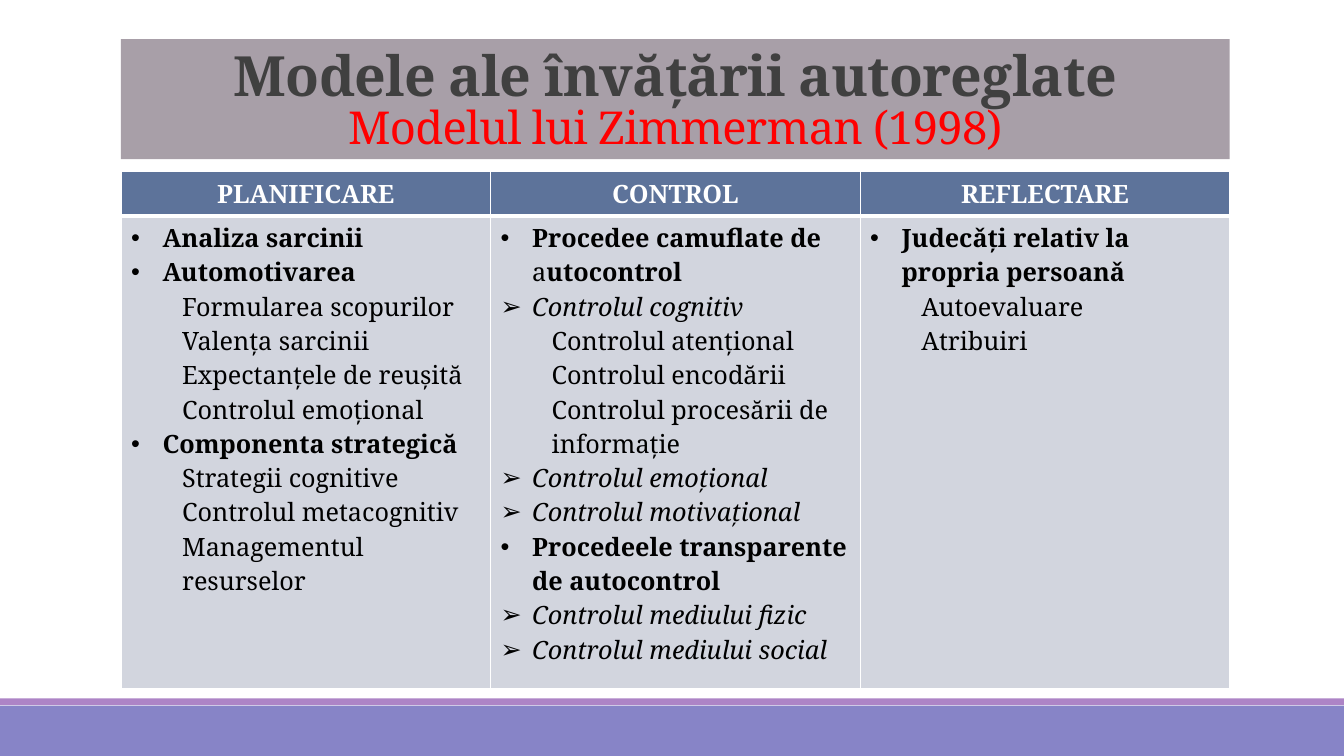
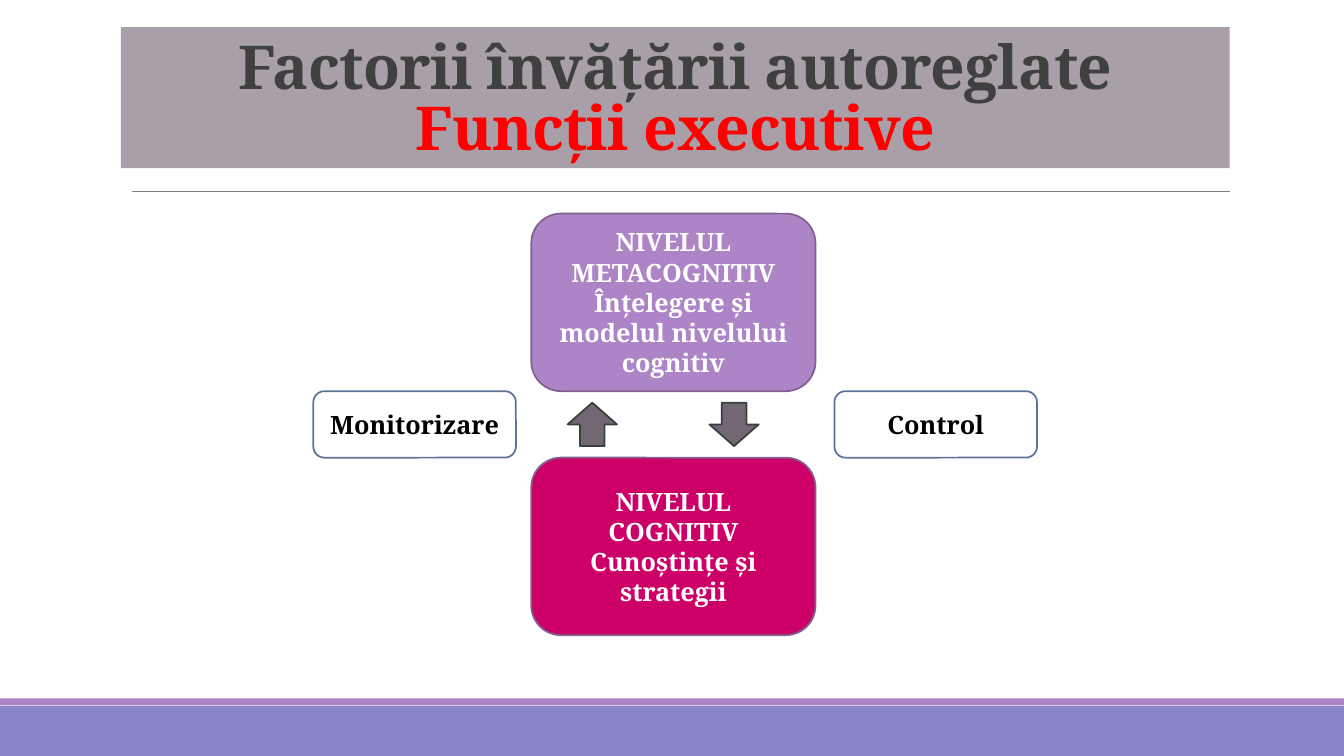
from copy import deepcopy

from lxml.etree import SubElement
from pptx import Presentation
from pptx.dml.color import RGBColor
from pptx.enum.lang import MSO_LANGUAGE_ID
from pptx.enum.shapes import MSO_CONNECTOR, MSO_SHAPE
from pptx.enum.text import MSO_ANCHOR, MSO_AUTO_SIZE, PP_ALIGN
from pptx.oxml.ns import qn
from pptx.util import Pt

FONT = "Noto Serif"
TEXT_SIZE = 18
WHITE = RGBColor(0xFF, 0xFF, 0xFF)
BLACK = RGBColor(0, 0, 0)
RED = RGBColor(0xFF, 0, 0)
DARK = RGBColor(0x40, 0x40, 0x40)
GRAY = RGBColor(0x80, 0x80, 0x80)
TITLE_FILL = RGBColor(0xA8, 0x9F, 0xA8)
BAND = RGBColor(0x87, 0x84, 0xC7)
LILAC = RGBColor(0xAD, 0x84, 0xC6)
PLUM = RGBColor(0x80, 0x62, 0x92)
MAGENTA = RGBColor(0xCC, 0, 0x66)
SLATE = RGBColor(0x5D, 0x73, 0x9A)
CELL = RGBColor(0xD2, 0xD5, 0xDE)
ARROW = RGBColor(0x73, 0x67, 0x73)
ARROW_LINE = RGBColor(0x38, 0x40, 0x42)

# Content area shared by both slides
PAGE_WIDTH, PAGE_HEIGHT = 960, 540
LEFT, WIDTH = 86.4, 792
RIGHT = LEFT + WIDTH


def style_run(span, size, color, bold=True, italic=False):
    """Apply the deck font and language with a size, colour and weight."""
    span.font.name = FONT
    span.font.language_id = MSO_LANGUAGE_ID.ROMANIAN
    span.font.size = Pt(size)
    span.font.color.rgb = color
    span.font.bold = bold
    span.font.italic = italic


def add_box(page, preset, place, fill, line=None):
    """Add a filled preset shape without shadow; place is in points."""
    box = page.shapes.add_shape(preset, *[Pt(length) for length in place])
    box.shadow.inherit = False
    box.fill.solid()
    box.fill.fore_color.rgb = fill
    if line is None:
        box.line.fill.background()
    else:
        box.line.color.rgb = line
        box.line.width = Pt(1.25)
    return box


deck = Presentation()
deck.slide_width, deck.slide_height = Pt(PAGE_WIDTH), Pt(PAGE_HEIGHT)
layout = deck.slide_layouts[5]
model_page = deck.slides.add_slide(layout)
factor_page = deck.slides.add_slide(layout)

# Shared bands and rule: drawn once, then moved into the layout
band = add_box(model_page, MSO_SHAPE.RECTANGLE, (0, 504, PAGE_WIDTH, 36), BAND)
stripe = add_box(model_page, MSO_SHAPE.RECTANGLE, (0, 498.8, PAGE_WIDTH, 4.8), LILAC)
rule = model_page.shapes.add_connector(
    MSO_CONNECTOR.STRAIGHT, Pt(94.3), Pt(136.8), Pt(RIGHT), Pt(136.8))
rule.line.color.rgb = GRAY
rule.line.width = Pt(0.5)
SubElement(rule.element.spPr, qn("a:effectLst"))
for shape in (band, stripe, rule):
    layout.shapes.element.append(shape.element)

# Titles: page, top, height, then (text, size, colour, bold) for each line
titles = [
    (model_page, 28, 85.7, [("Modele ale învățării autoreglate", 39.6, DARK, True),
                            ("Modelul lui Zimmerman (1998)", 32.4, RED, False)]),
    (factor_page, 19.3, 100.8, [("Factorii învățării autoreglate", 43.2, DARK, True),
                                ("Funcții executive", 43.2, RED, True)]),
]
for page, top, height, lines in titles:
    title = page.shapes.title
    title.left, title.top = Pt(LEFT), Pt(top)
    title.width, title.height = Pt(WIDTH), Pt(height)
    title.fill.solid()
    title.fill.fore_color.rgb = TITLE_FILL
    frame = title.text_frame
    frame.auto_size = MSO_AUTO_SIZE.NONE
    frame.vertical_anchor = MSO_ANCHOR.BOTTOM
    frame.text = "\v".join(text for text, *_ in lines)
    para = frame.paragraphs[0]
    para.alignment = PP_ALIGN.CENTER
    para.line_spacing = 0.85
    for span, (_, size, color, bold) in zip(para.runs, lines):
        style_run(span, size, color, bold)
    run_properties = list(title.element.iter(qn("a:rPr")))
    for properties in run_properties:
        properties.set("spc", "-50")
    # The line break takes the size of the first line
    line_break = title.element.find(".//" + qn("a:br"))
    line_break.append(deepcopy(run_properties[0]))

# Slide 1: table; a bar in a text switches between bold and regular
ITEM_STYLES = {  # margin, indent, bullet, bold, italic
    "head": (22.5, -22.5, "•", True, False),
    "step": (22.5, -22.5, "➢", False, True),
    "detail": (36.5, 0, None, False, False),
}
columns = [
    ("PLANIFICARE", [
        ("head", "Analiza sarcinii"),
        ("head", "Automotivarea"),
        ("detail", "Formularea scopurilor"),
        ("detail", "Valenţa sarcinii"),
        ("detail", "Expectanţele de reuşită"),
        ("detail", "Controlul emoţional"),
        ("head", "Componenta strategică"),
        ("detail", "Strategii cognitive"),
        ("detail", "Controlul metacognitiv"),
        ("detail", "Managementul resurselor")]),
    ("CONTROL", [
        ("head", "Procedee camuflate de| a|utocontrol"),
        ("step", "Controlul cognitiv"),
        ("detail", "Controlul atenţional"),
        ("detail", "Controlul encodării"),
        ("detail", "Controlul procesării de informaţie"),
        ("step", "Controlul emoţional"),
        ("step", "Controlul motivaţional"),
        ("head", "Procedeele transparente de autocontrol"),
        ("step", "Controlul mediului fizic"),
        ("step", "Controlul mediului social")]),
    ("REFLECTARE", [
        ("head", "Judecǎţi relativ la propria persoanǎ"),
        ("detail", "Autoevaluare"),
        ("detail", "Atribuiri")]),
]
HEADER_HEIGHT, BODY_HEIGHT = 29.5, 337.7
table = model_page.shapes.add_table(
    2, len(columns), Pt(LEFT), Pt(122.4), Pt(WIDTH),
    Pt(HEADER_HEIGHT + BODY_HEIGHT)).table
table.rows[0].height, table.rows[1].height = Pt(HEADER_HEIGHT), Pt(BODY_HEIGHT)
for column, (heading, items) in enumerate(columns):
    head_cell, body_cell = table.cell(0, column), table.cell(1, column)

    # The white line between header and body is the edge of both cells
    for cell, fill, edge in ((head_cell, SLATE, "a:lnB"), (body_cell, CELL, "a:lnT")):
        cell_properties = cell._tc.get_or_add_tcPr()
        border = SubElement(cell_properties, qn(edge), w=str(Pt(3)))
        border_fill = SubElement(border, qn("a:solidFill"))
        SubElement(border_fill, qn("a:srgbClr"), val=str(WHITE))
        cell.fill.solid()
        cell.fill.fore_color.rgb = fill

    head_cell.text = heading
    para = head_cell.text_frame.paragraphs[0]
    para.alignment = PP_ALIGN.CENTER
    style_run(para.runs[0], TEXT_SIZE, WHITE)

    frame = body_cell.text_frame
    for row, (kind, text) in enumerate(items):
        margin, indent, bullet, bold, italic = ITEM_STYLES[kind]
        para = frame.add_paragraph() if row else frame.paragraphs[0]
        for index, part in enumerate(text.split("|")):
            span = para.add_run()
            span.text = part
            style_run(span, TEXT_SIZE, BLACK, bold and index % 2 == 0, italic)
        properties = para._p.get_or_add_pPr()
        properties.set("marL", str(Pt(margin)))
        properties.set("indent", str(Pt(indent)))
        if bullet:
            SubElement(properties, qn("a:buFont"), typeface="Arial")
            SubElement(properties, qn("a:buChar"), char=bullet)

# Slide 2: two stacked levels; labels and arrows fill the gap between them
LEVEL_LEFT, LEVEL_TOP, LEVEL_WIDTH, LEVEL_HEIGHT = 379.5, 152.6, 203, 126.8
GAP_TOP, GAP = LEVEL_TOP + LEVEL_HEIGHT, 47.5
LABEL_WIDTH = 144.7
ARROW_WIDTH, ARROW_HEIGHT = 35.3, 31
upper_level = (LEVEL_LEFT, LEVEL_TOP, LEVEL_WIDTH, LEVEL_HEIGHT)
lower_level = (LEVEL_LEFT, GAP_TOP + GAP, LEVEL_WIDTH, LEVEL_HEIGHT)
left_label = (223.8, GAP_TOP, LABEL_WIDTH, GAP)
right_label = (596, GAP_TOP, LABEL_WIDTH, GAP)
boxes = [
    (upper_level, LILAC, PLUM, WHITE,
     "NIVELUL METACOGNITIV\nÎnțelegere și modelul nivelului cognitiv"),
    (lower_level, MAGENTA, PLUM, WHITE,
     "NIVELUL COGNITIV\nCunoștințe și strategii"),
    (left_label, WHITE, SLATE, BLACK, "Monitorizare"),
    (right_label, WHITE, SLATE, BLACK, "Control"),
]
for place, fill, line, color, text in boxes:
    box = add_box(factor_page, MSO_SHAPE.ROUNDED_RECTANGLE, place, fill, line)
    frame = box.text_frame
    frame.word_wrap = True
    frame.vertical_anchor = MSO_ANCHOR.MIDDLE
    frame.text = text
    for para in frame.paragraphs:
        para.alignment = PP_ALIGN.CENTER
        style_run(para.runs[0], TEXT_SIZE, color)

arrow_top = GAP_TOP + (GAP - ARROW_HEIGHT) / 2
for preset, left in ((MSO_SHAPE.UP_ARROW, 405.4), (MSO_SHAPE.DOWN_ARROW, 506.7)):
    add_box(factor_page, preset, (left, arrow_top, ARROW_WIDTH, ARROW_HEIGHT),
            ARROW, ARROW_LINE)

deck.save("out.pptx")
